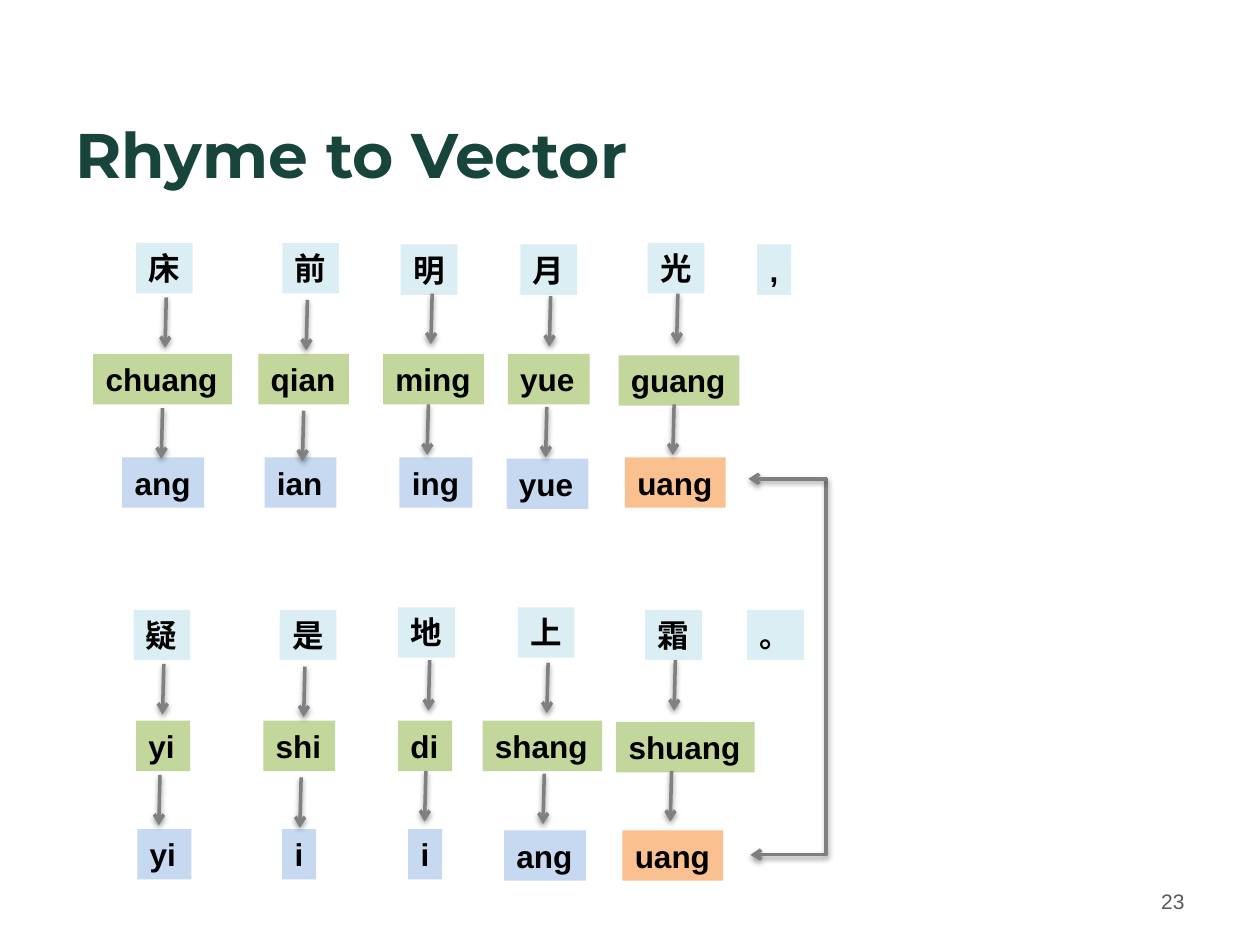
from lxml import etree
from pptx import Presentation
from pptx.dml.color import RGBColor
from pptx.enum import shapes, text
from pptx.oxml import ns
from pptx.util import Inches, Pt

CHAR, PINYIN, RHYME, MATCH = "DBEEF4", "C3D69B", "C6D9F1", "FAC090"
GRAY, LINK_GRAY = "808080", "7F7F7F"
BOX_H = 0.4

# Each row: fill, then (text, left, top, width)
ROWS = [
    (CHAR, [("床", 1.08, 1.93, 0.45), ("前", 2.24, 1.93, 0.45),
            ("明", 3.18, 1.94, 0.45), ("月", 4.13, 1.94, 0.45),
            ("光", 5.14, 1.93, 0.45), (",", 6.01, 1.94, 0.27)]),
    (PINYIN, [("chuang", 0.74, 2.81, 1.1), ("qian", 2.05, 2.81, 0.72),
              ("ming", 3.04, 2.81, 0.8), ("yue", 4.03, 2.81, 0.65),
              ("guang", 4.91, 2.82, 0.96)]),
    (RHYME, [("ang", 0.97, 3.63, 0.65), ("ian", 2.1, 3.63, 0.57),
             ("ing", 3.17, 3.63, 0.58), ("yue", 4.02, 3.64, 0.65)]),
    (MATCH, [("uang", 4.96, 3.63, 0.8)]),
    (CHAR, [("疑", 1.06, 4.84, 0.45), ("是", 2.22, 4.84, 0.45),
            ("地", 3.16, 4.82, 0.45), ("上", 4.11, 4.82, 0.45),
            ("霜", 5.12, 4.84, 0.45), ("。", 5.93, 4.84, 0.45)]),
    (PINYIN, [("yi", 1.08, 5.72, 0.43), ("shi", 2.09, 5.72, 0.57),
              ("di", 3.16, 5.72, 0.43), ("shang", 3.83, 5.72, 0.95),
              ("shuang", 4.89, 5.73, 1.1)]),
    (RHYME, [("yi", 1.09, 6.58, 0.43), ("i", 2.24, 6.58, 0.27),
             ("i", 3.24, 6.58, 0.27), ("ang", 4.0, 6.59, 0.65)]),
    (MATCH, [("uang", 4.94, 6.59, 0.8)]),
]

# Arrow starts in the first row, and the shifts that repeat them
ARROW_STARTS = [(1.32, 2.36), (2.44, 2.38), (3.43, 2.33), (4.37, 2.35), (5.38, 2.33)]
VERSE_SHIFTS = [(0, 0), (-0.02, 2.91)]
STEP_SHIFTS = [(0, 0), (-0.03, 0.88)]


def color(value):
    return RGBColor.from_string(value)


def write(tf, content, size, font, fill, bold=False, align=text.PP_ALIGN.LEFT):
    p = tf.paragraphs[0]
    p.alignment = align
    r = p.add_run()
    r.text = content
    for name, value in {"size": Pt(size), "name": font, "bold": bold}.items():
        setattr(r.font, name, value)
    r.font.color.rgb = color(fill)


def add_text(s, box, content, size, font, fill, frame, **kwargs):
    tf = s.shapes.add_textbox(*map(Inches, box)).text_frame
    tf.word_wrap = True
    for name, value in frame.items():
        setattr(tf, name, value)
    write(tf, content, size, font, fill, **kwargs)


def add_box(s, content, left, top, width, fill):
    sp = s.shapes.add_shape(shapes.MSO_SHAPE.RECTANGLE, Inches(left), Inches(top),
                            Inches(width), Inches(BOX_H))
    sp.shadow.inherit = False
    sp.fill.solid()
    sp.fill.fore_color.rgb = color(fill)
    sp.line.fill.background()
    tf = sp.text_frame
    frame = {"word_wrap": False, "auto_size": text.MSO_AUTO_SIZE.SHAPE_TO_FIT_TEXT,
             "vertical_anchor": text.MSO_ANCHOR.TOP}
    for name, value in frame.items():
        setattr(tf, name, value)
    write(tf, content, 18, "Arial", "000000", bold=True)


def add_arrow(s, start, end, fill=GRAY, kind=shapes.MSO_CONNECTOR.STRAIGHT):
    c = s.shapes.add_connector(kind, *map(Inches, (*start, *end)))
    c.line.color.rgb = color(fill)
    c.line.width = Pt(2)
    # Arrowhead and soft shadow
    ln = c.line._get_or_add_ln()
    etree.SubElement(ln, ns.qn("a:tailEnd"), type="arrow")
    effects = etree.SubElement(c.element.spPr, ns.qn("a:effectLst"))
    shadow = etree.SubElement(effects, ns.qn("a:outerShdw"), blurRad=str(Pt(3.1)),
                              dist=str(Pt(1.6)), dir="5400000", rotWithShape="0")
    shade = etree.SubElement(shadow, ns.qn("a:srgbClr"), val="000000")
    etree.SubElement(shade, ns.qn("a:alpha"), val="38000")
    return c


def add_rhyme_link(s):
    # Elbow turned a quarter, with its bend at the far end
    c = add_arrow(s, (4.76, 4.99), (7.75, 5.59), LINK_GRAY, shapes.MSO_CONNECTOR.ELBOW)
    sp_pr = c.element.spPr
    sp_pr.find(ns.qn("a:xfrm")).set("rot", "5400000")
    geom = sp_pr.find(ns.qn("a:prstGeom"))
    guides = geom.find(ns.qn("a:avLst"))
    if guides is None:
        guides = etree.SubElement(geom, ns.qn("a:avLst"))
    etree.SubElement(guides, ns.qn("a:gd"), name="adj1", fmla="val 99900")
    add_arrow(s, (6.56, 3.8), (5.94, 3.8), LINK_GRAY)


def main():
    prs = Presentation()
    prs.slide_width, prs.slide_height = Inches(10), Inches(7.5)
    s = prs.slides.add_slide(prs.slide_layouts[6])

    # Title and slide number
    add_text(s, (0.5, 0.82, 9, 1.07), "Rhyme to Vector", 36, "Montserrat", "18453B",
             {"margin_top": Inches(0.1), "margin_bottom": Inches(0.1)}, bold=True)
    add_text(s, (7.17, 6.95, 2.33, 0.4), "23", 12, "Arial", "595959",
             {"vertical_anchor": text.MSO_ANCHOR.MIDDLE}, align=text.PP_ALIGN.RIGHT)

    # Characters, pinyin and rhymes
    for fill, words in ROWS:
        for word in words:
            add_box(s, *word, fill)

    # Arrows down each column
    for verse_x, verse_y in VERSE_SHIFTS:
        for step_x, step_y in STEP_SHIFTS:
            for x, y in ARROW_STARTS:
                left, top = x + verse_x + step_x, y + verse_y + step_y
                add_arrow(s, (left, top), (left - 0.01, top + 0.4))

    # Link between the matching rhymes
    add_rhyme_link(s)

    prs.save("out.pptx")


if __name__ == "__main__":
    main()
